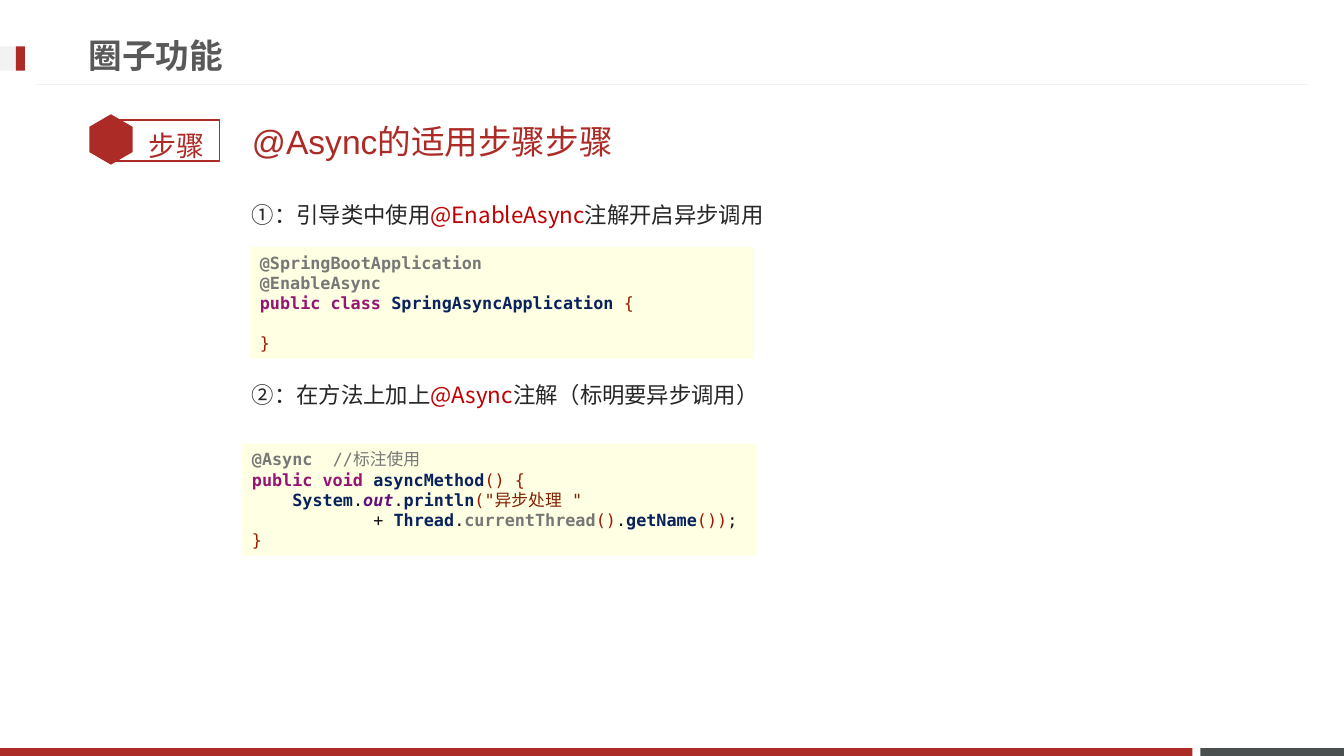
from lxml.etree import SubElement
from pptx import Presentation
from pptx.dml.color import RGBColor as RGB
from pptx.enum.shapes import MSO_CONNECTOR as Connector, MSO_SHAPE as Shape
from pptx.enum.text import MSO_ANCHOR as Anchor, PP_ALIGN as Align
from pptx.oxml.ns import qn
from pptx.util import Cm, Pt

RED = RGB(0xAD, 0x2B, 0x26)
BRIGHT_RED = RGB(0xC0, 0x00, 0x00)
SLATE = RGB(0x49, 0x50, 0x4F)
PALE_GREY = RGB(0xF2, 0xF2, 0xF2)
TITLE_GREY = RGB(0x59, 0x59, 0x59)
INK = RGB(0x26, 0x26, 0x26)
CODE_PAPER = RGB(0xFF, 0xFF, 0xE4)
CODE_GREY = RGB(0x77, 0x77, 0x77)
KEYWORD = RGB(0x96, 0x15, 0x74)
NAME = RGB(0x08, 0x22, 0x5C)
BRACKET = RGB(0x9C, 0x1A, 0x00)
STRING = RGB(0x82, 0x1F, 0x01)
FIELD = RGB(0x66, 0x0E, 0x7A)
PLAIN = RGB(0x11, 0x11, 0x11)

LABEL_FONT = "Lato"
HEADING_FONT = "Arial"
STEP_FONT = "Noto Sans CJK JP"
CODE_FONT = "DejaVu Sans Mono"
CODE_CJK_FONT = "Noto Sans CJK SC"
BOLD_TOKENS = {CODE_GREY, KEYWORD, NAME, FIELD}
CODE_LINE = Pt(14)
CODE_CHAR = 0.255  # width of one code character in cm


class Painter:
    def __init__(self, slide):
        self.slide = slide

    def block(self, kind, left, top, width, height, fill=None, line=None):
        shape = self.slide.shapes.add_shape(
            kind, Cm(left), Cm(top), Cm(width), Cm(height))
        shape.shadow.inherit = False
        if fill is None:
            shape.fill.background()
        else:
            shape.fill.solid()
            shape.fill.fore_color.rgb = fill
        if line is None:
            shape.line.fill.background()
        else:
            shape.line.color.rgb = line
            shape.line.width = Pt(1)
        return shape

    def rule(self, left, right, y, color):
        rule = self.slide.shapes.add_connector(
            Connector.STRAIGHT, Cm(left), Cm(y), Cm(right), Cm(y))
        rule.line.color.rgb = color
        rule.line.width = Pt(0.75)
        SubElement(rule._element.spPr, qn("a:effectLst"))

    def run(self, paragraph, text, font, size, color, bold=False, italic=False):
        run = paragraph.add_run()
        run.text = text
        run.font.name = font
        run.font.size = Pt(size)
        run.font.color.rgb = color
        run.font.bold = bold
        run.font.italic = italic
        SubElement(run._r.rPr, qn("a:ea")).set("typeface", font)

    def text(self, left, top, width, height, pieces, font, size,
             bold=False, anchor=Anchor.TOP, spacing=None, before=None):
        box = self.slide.shapes.add_textbox(
            Cm(left), Cm(top), Cm(width), Cm(height))
        frame = box.text_frame
        frame.word_wrap = True
        frame.vertical_anchor = anchor
        paragraph = frame.paragraphs[0]
        paragraph.line_spacing = spacing
        paragraph.space_before = before
        for words, color in pieces:
            self.run(paragraph, words, font, size, color, bold)

    def code(self, left, top, width, height, lines):
        """Each line is (indent in characters, blank lines after, tokens)."""
        frame = self.block(Shape.RECTANGLE, left, top, width, height,
                           CODE_PAPER).text_frame
        frame.word_wrap = True
        frame.vertical_anchor = Anchor.MIDDLE
        for number, (indent, blanks, tokens) in enumerate(lines):
            paragraph = frame.add_paragraph() if number else frame.paragraphs[0]
            paragraph.alignment = Align.LEFT
            properties = paragraph._p.get_or_add_pPr()
            properties.set("marL", str(Cm(indent * CODE_CHAR)))
            if blanks:
                paragraph.space_after = CODE_LINE * blanks
            if any("\t" in token[0] for token in tokens):
                stops = SubElement(properties, qn("a:tabLst"))
                SubElement(stops, qn("a:tab"),
                           pos=str(Cm(8 * CODE_CHAR)), algn="l")
            for words, color, *light in tokens:
                cjk = any(ord(letter) > 0x2E80 for letter in words)
                self.run(paragraph, words, CODE_CJK_FONT if cjk else CODE_FONT,
                         12, color, color in BOLD_TOKENS and not light,
                         color == FIELD)


deck = Presentation()
deck.slide_width, deck.slide_height = Cm(33.87), Cm(19.05)
painter = Painter(deck.slides.add_slide(deck.slide_layouts[6]))

# Footer bars, header rule and header marker
for left, top, width, height, color in (
        (30.25, 18.85, 3.62, 0.2, SLATE),
        (0, 18.85, 30.05, 0.2, RED),
        (0, 1.17, 0.63, 0.61, PALE_GREY),
        (0.4, 1.17, 0.23, 0.61, RED)):
    painter.block(Shape.RECTANGLE, left, top, width, height, color)
painter.rule(0.9, 32.97, 2.13, PALE_GREY)

# Badge
painter.block(Shape.RECTANGLE, 2.77, 3.02, 2.77, 1.04, line=RED)
hexagon = painter.block(Shape.HEXAGON, 2.16, 2.97, 1.27, 1.09, RED)
hexagon.adjustments[0] = 0.29
hexagon.rotation = 90
painter.text(3.5, 2.69, 2.16, 1.42, [("步骤", RED)], LABEL_FONT, 20, spacing=1.5)

# Title and heading
painter.text(1.98, 0.66, 24.36, 1.45, [("圈子功能", TITLE_GREY)],
             LABEL_FONT, 24, bold=True, anchor=Anchor.MIDDLE)
painter.text(6.1, 2.82, 25.6, 1.45, [("@Async的适用步骤步骤", RED)],
             HEADING_FONT, 24, anchor=Anchor.MIDDLE, before=Pt(4.8))

# Steps
steps = [
    ("①：引导类中使用", "@EnableAsync", "注解开启异步调用"),
    ("②：在方法上加上", "@Async", "注解（标明要异步调用）"),
]
for index, words in enumerate(steps):
    painter.text(6.1, 4.6 + index * 4.55, 25.6, 1.3,
                 zip(words, (INK, BRIGHT_RED, INK)), STEP_FONT, 16,
                 spacing=1.5, before=Pt(3.2))

# Code samples
painter.code(6.3, 6.22, 12.7, 2.82, [
    (0, 0, [("@SpringBootApplication", CODE_GREY)]),
    (0, 0, [("@EnableAsync", CODE_GREY)]),
    (0, 1, [("public class ", KEYWORD), ("SpringAsyncApplication ", NAME),
            ("{", BRACKET)]),
    (0, 0, [("}", BRACKET)]),
])
painter.code(6.1, 11.18, 12.98, 2.82, [
    (0, 0, [("@Async\t", CODE_GREY), ("//", CODE_GREY, "light"),
            ("标注使用", CODE_GREY, "light")]),
    (0, 0, [("public void ", KEYWORD), ("asyncMethod", NAME), ("() {", BRACKET)]),
    (4, 0, [("System", NAME), (".", PLAIN), ("out", FIELD), (".", PLAIN),
            ("println", NAME), ("(", BRACKET), ("\"", STRING),
            ("异步处理", STRING), (" \"", STRING)]),
    (12, 0, [("+ ", PLAIN), ("Thread", NAME), (".", PLAIN),
             ("currentThread", CODE_GREY), ("()", BRACKET), (".", PLAIN),
             ("getName", NAME), ("())", BRACKET), (";", PLAIN)]),
    (0, 0, [("}", BRACKET)]),
])

deck.save("out.pptx")
